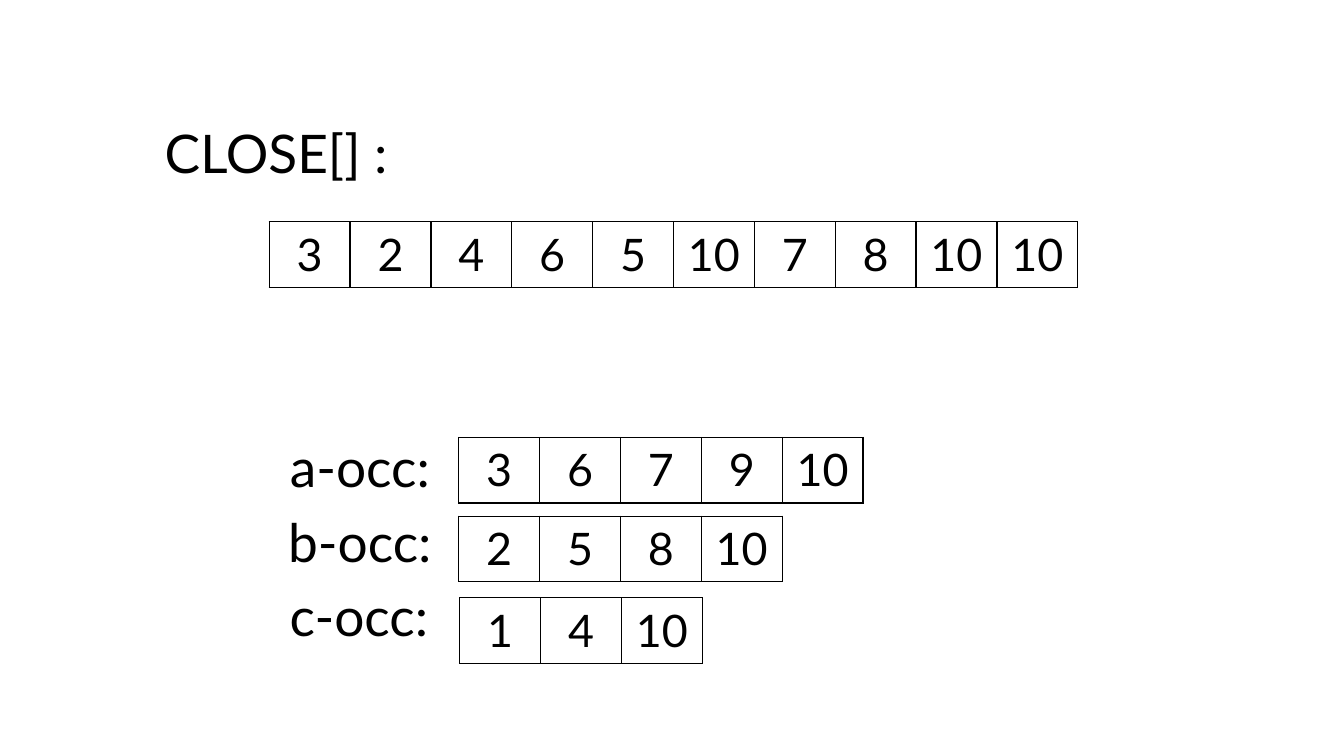
from lxml import etree
from pptx import Presentation
from pptx.dml.color import RGBColor
from pptx.enum import text as t
from pptx.oxml.ns import qn
from pptx.util import Inches, Pt

FONT = "Lato"
INK = "000000"
CELL = 8.02 / 10  # ten cells span the long array
HIGH = 0.65
LABEL = 0.74


def color(code):
    return RGBColor.from_string(code)


def write(frame, words, size):
    """Set one centred line of text."""
    frame.text = words
    para = frame.paragraphs[0]
    para.alignment = t.PP_ALIGN.CENTER
    font = para.runs[0].font
    font.name, font.size = FONT, Pt(size)
    font.color.rgb = color(INK)


def border(cell):
    """Draw a thin line on all four sides."""
    props = cell._tc.get_or_add_tcPr()
    for i, side in enumerate(("a:lnL", "a:lnR", "a:lnT", "a:lnB")):
        line = etree.Element(qn(side), w=str(Pt(1)))
        fill = etree.SubElement(line, qn("a:solidFill"))
        etree.SubElement(fill, qn("a:srgbClr"), val=INK)
        props.insert(i, line)


def label(shape, words):
    """Format a box as a label that does not wrap."""
    frame = shape.text_frame
    write(frame, words, 38)
    frame.word_wrap = False
    frame.auto_size = t.MSO_AUTO_SIZE.SHAPE_TO_FIT_TEXT
    frame.vertical_anchor = t.MSO_ANCHOR.TOP


def array(slide, left, top, values):
    """Draw a row of equal cells, one per value."""
    count = len(values)
    table = slide.shapes.add_table(
        1, count, Inches(left), Inches(top),
        Inches(CELL * count), Inches(HIGH)).table
    table.first_row = table.horz_banding = False
    for col, cell, value in zip(table.columns, table.iter_cells(), values):
        col.width = Inches(CELL)
        write(cell.text_frame, str(value), 32)
        cell.fill.background()
        border(cell)


def close(slide, left, top):
    """Title with the CLOSE array below it."""
    title = slide.shapes.title
    title.left, title.top = Inches(left), Inches(top)
    title.width, title.height = Inches(2.52), Inches(LABEL)
    label(title, "CLOSE[] :")
    array(slide, left + 1.19, top + 1.06, [3, 2, 4, 6, 5, 10, 7, 8, 10, 10])


def lists(slide, left, top):
    """Occurrence lists, each with its label."""
    rows = [
        # name, label shift and width, array shift and top, values
        ("a-occ:", 0.01, 1.64, 1.81, 0.08, [3, 6, 7, 9, 10]),
        ("b-occ:", 0, 1.66, 1.81, 0.86, [2, 5, 8, 10]),
        ("c-occ:", 0.02, 1.6, 1.82, 1.67, [1, 4, 10]),
    ]
    for i, (name, shift, width, x, y, values) in enumerate(rows):
        box = slide.shapes.add_textbox(
            Inches(left + shift), Inches(top + i * LABEL),
            Inches(width), Inches(LABEL))
        label(box, name)
        array(slide, left + x, top + y, values)


def main():
    deck = Presentation()
    deck.slide_width, deck.slide_height = Inches(13.33), Inches(7.5)
    slide = deck.slides.add_slide(deck.slide_layouts[5])
    close(slide, 1.48, 1.14)
    lists(slide, 2.74, 4.26)
    deck.save("out.pptx")


if __name__ == "__main__":
    main()
